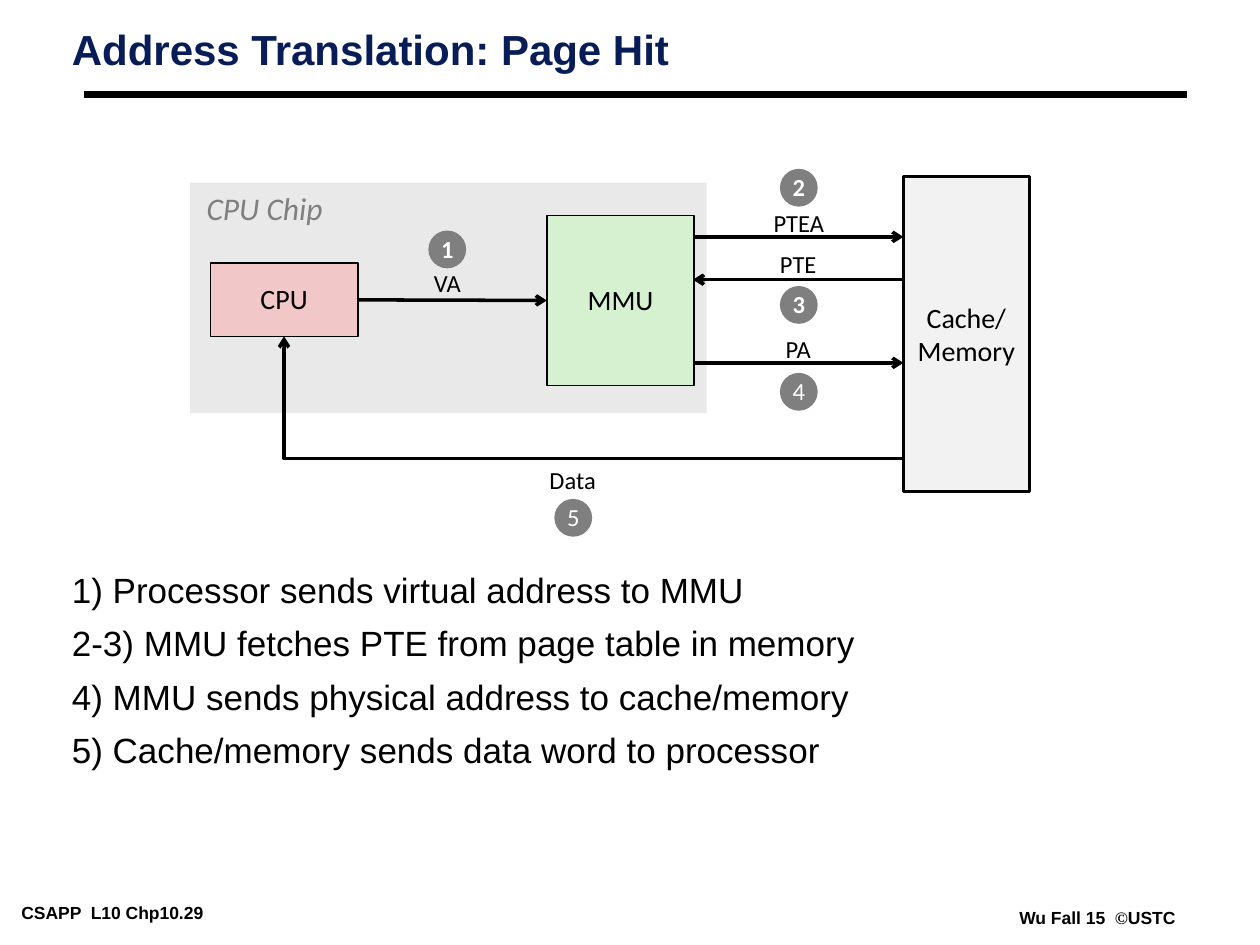
from lxml import etree
from pptx import Presentation
from pptx import util as u
from pptx.dml.color import RGBColor
from pptx.enum import shapes, text
from pptx.oxml.ns import qn

BLACK, GREY, WHITE = "000000", "7F7F7F", "FFFFFF"
CENTER, LEFT = text.PP_ALIGN.CENTER, text.PP_ALIGN.LEFT
MIDDLE, TOP = text.MSO_ANCHOR.MIDDLE, text.MSO_ANCHOR.TOP
SLIM, ROOMY = (0.07, 0.03), (0.1, 0.05)


def color(value):
    """Turn a hex string into a colour."""
    return RGBColor.from_string(value)


def inches(*lengths):
    """Convert several lengths to inches."""
    return [u.Inches(length) for length in lengths]


def set_values(target, values):
    """Set each named attribute on the target."""
    for name, value in values.items():
        setattr(target, name, value)


def write(shape, paragraphs, size, name="Calibri", ink=BLACK, bold=False, italic=False,
          align=CENTER, anchor=MIDDLE, insets=ROOMY, wrap=False, spacing=None, gap=0, indent=0):
    """Fill a shape with paragraphs; each is a string or a list of (text, font) spans."""
    frame = shape.text_frame
    across, down = inches(*insets)
    set_values(frame, {"margin_left": across, "margin_right": across, "margin_top": down,
                       "margin_bottom": down, "vertical_anchor": anchor, "word_wrap": wrap})
    for index, spans in enumerate(paragraphs):
        para = frame.add_paragraph() if index else frame.paragraphs[0]
        set_values(para, {"alignment": align, "line_spacing": spacing,
                          "space_before": u.Pt(gap if index else 0)})
        if indent:
            properties = para._p.get_or_add_pPr()
            properties.set("marL", str(u.Inches(indent)))
            properties.set("indent", str(-u.Inches(indent)))
        for words, font_name in [(spans, name)] if isinstance(spans, str) else spans:
            span = para.add_run()
            span.text = words
            set_values(span.font, {"name": font_name, "size": u.Pt(size),
                                   "bold": bold, "italic": italic})
            span.font.color.rgb = color(ink)


def add_text(page, place, paragraphs, size, **style):
    """Add a text box."""
    write(page.shapes.add_textbox(*inches(*place)), paragraphs, size, **style)


def add_block(page, place, fill, outline=0, kind=shapes.MSO_SHAPE.RECTANGLE):
    """Add a filled shape, outlined in black when a width is given."""
    block = page.shapes.add_shape(kind, *inches(*place))
    block.shadow.inherit = False
    block.fill.solid()
    block.fill.fore_color.rgb = color(fill)
    if outline:
        block.line.color.rgb = color(BLACK)
        block.line.width = u.Pt(outline)
    else:
        block.line.fill.background()
    return block


def add_unit(page, place, fill, outline, lines, spacing=0.98):
    """Add a labelled hardware unit."""
    unit = add_block(page, place, fill, outline)
    write(unit, lines, 16, spacing=spacing)
    return unit


def add_step(page, left, top, number, bold):
    """Add a numbered step circle."""
    circle = add_block(page, (left, top, 0.3, 0.3), GREY, kind=shapes.MSO_SHAPE.OVAL)
    write(circle, [str(number)], 14, ink=WHITE, bold=bold, spacing=0.98)


def add_line(page, start, end, width=2, arrow=True, kind=shapes.MSO_CONNECTOR.STRAIGHT):
    """Add a black connector, with an arrowhead at its end by default."""
    line = page.shapes.add_connector(kind, *inches(*start, *end))
    line.line.color.rgb = color(BLACK)
    line.line.width = u.Pt(width)
    if arrow:
        etree.SubElement(line.line._get_or_add_ln(), qn("a:tailEnd"), type="arrow")
    etree.SubElement(line._element.spPr, qn("a:effectLst"))
    return line


def add_diagram(page):
    """Draw the chip, the memory and the numbered messages between them."""
    add_block(page, (1.51, 1.45, 4.1, 1.83), "E9E9E9")
    add_text(page, (1.54, 1.45, 1.12, 0.4), ["CPU Chip"], 18, ink=GREY, italic=True, anchor=TOP)
    mmu = add_unit(page, (4.34, 1.71, 1.17, 1.35), "D5F1CF", 1, ["MMU"])
    add_unit(page, (7.17, 1.4, 1, 2.5), "F2F2F2", 1.5, ["Cache/", "Memory"], None)
    cpu = add_unit(page, (1.67, 2.09, 1.17, 0.58), "F1C7C7", 1, ["CPU"])

    request = add_line(page, (2.84, 2.38), (4.34, 2.38))
    request.begin_connect(cpu, 3)
    request.end_connect(mmu, 1)
    for start, end, height in ((5.5, 7.17, 1.88), (7.17, 5.5, 2.22), (5.5, 7.17, 2.88)):
        add_line(page, (start, height), (end, height))
    reply = add_line(page, (7.17, 3.64), (2.25, 2.68), kind=shapes.MSO_CONNECTOR.ELBOW)
    reply._element.spPr.find(qn("a:prstGeom")).set("prst", "bentConnector2")
    reply.end_connect(cpu, 2)

    for label, left, top, width in (("VA", 3.34, 2.09, 0.42), ("PTEA", 6.04, 1.61, 0.6),
                                    ("PTE", 6.09, 1.94, 0.49), ("PA", 6.13, 2.61, 0.41),
                                    ("Data", 4.26, 3.65, 0.57)):
        add_text(page, (left, top, width, 0.33), [label], 14, spacing=0.98)
    steps = ((3.4, 1.83), (6.19, 1.34), (6.19, 2.27), (6.19, 2.96), (4.4, 3.96))
    for number, (left, top) in enumerate(steps, 1):
        add_step(page, left, top, number, bold=number <= 3)


def main():
    """Build the page hit slide."""
    deck = Presentation()
    deck.slide_width, deck.slide_height = inches(10, 7.5)
    page = deck.slides.add_slide(deck.slide_layouts[5])
    plain = {"name": "Arial", "align": LEFT, "anchor": TOP, "insets": SLIM}

    title = page.shapes.title
    set_values(title, dict(zip(("left", "top", "width", "height"),
                               inches(0.5, 0.21, 9.53, 0.86))))
    write(title, ["Address Translation: Page Hit"], 24, ink="081D58", bold=True,
          wrap=True, spacing=0.87, **plain)
    title.text_frame.auto_size = text.MSO_AUTO_SIZE.NONE
    add_line(page, (0.67, 0.75), (9.42, 0.75), 4.5, arrow=False)

    add_diagram(page)
    add_text(page, (0.5, 4.56, 7.42, 2.25), [
        "1) Processor sends virtual address to MMU",
        "2-3) MMU fetches PTE from page table in memory",
        "4) MMU sends physical address to cache/memory",
        "5) Cache/memory sends data word to processor",
    ], 20, wrap=True, spacing=0.75, gap=12.5, indent=0.22, **plain)

    add_text(page, (0.1, 7.13, 2.1, 0.22), ["CSAPP  L10 Chp10.29"], 10, bold=True, **plain)
    add_text(page, (8.02, 7.17, 1.38, 0.22),
             [[("Wu Fall 15  ", "Arial"), ("©", "Times New Roman"), ("USTC", "Arial")]],
             10, bold=True, **plain)
    deck.save("out.pptx")


if __name__ == "__main__":
    main()
